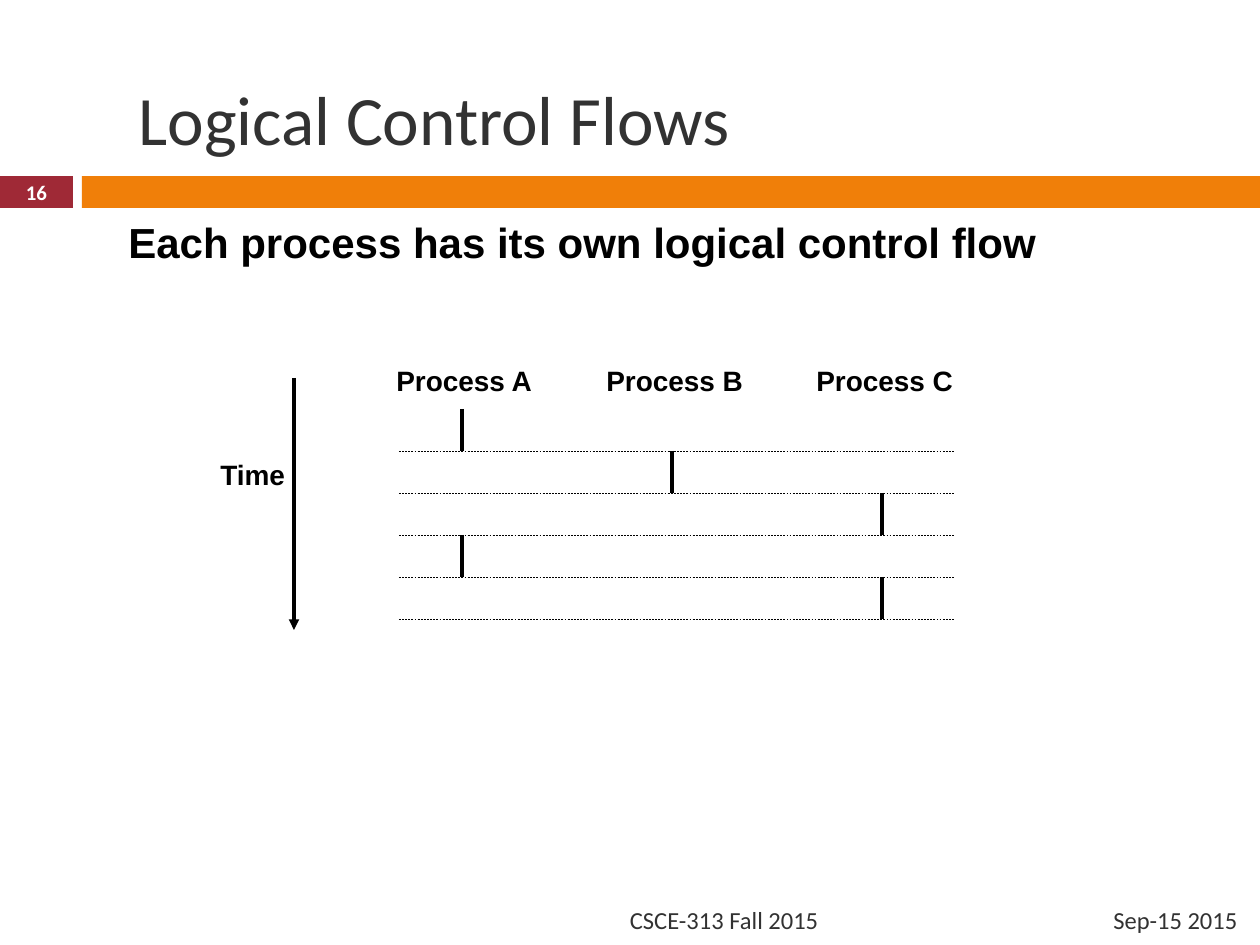
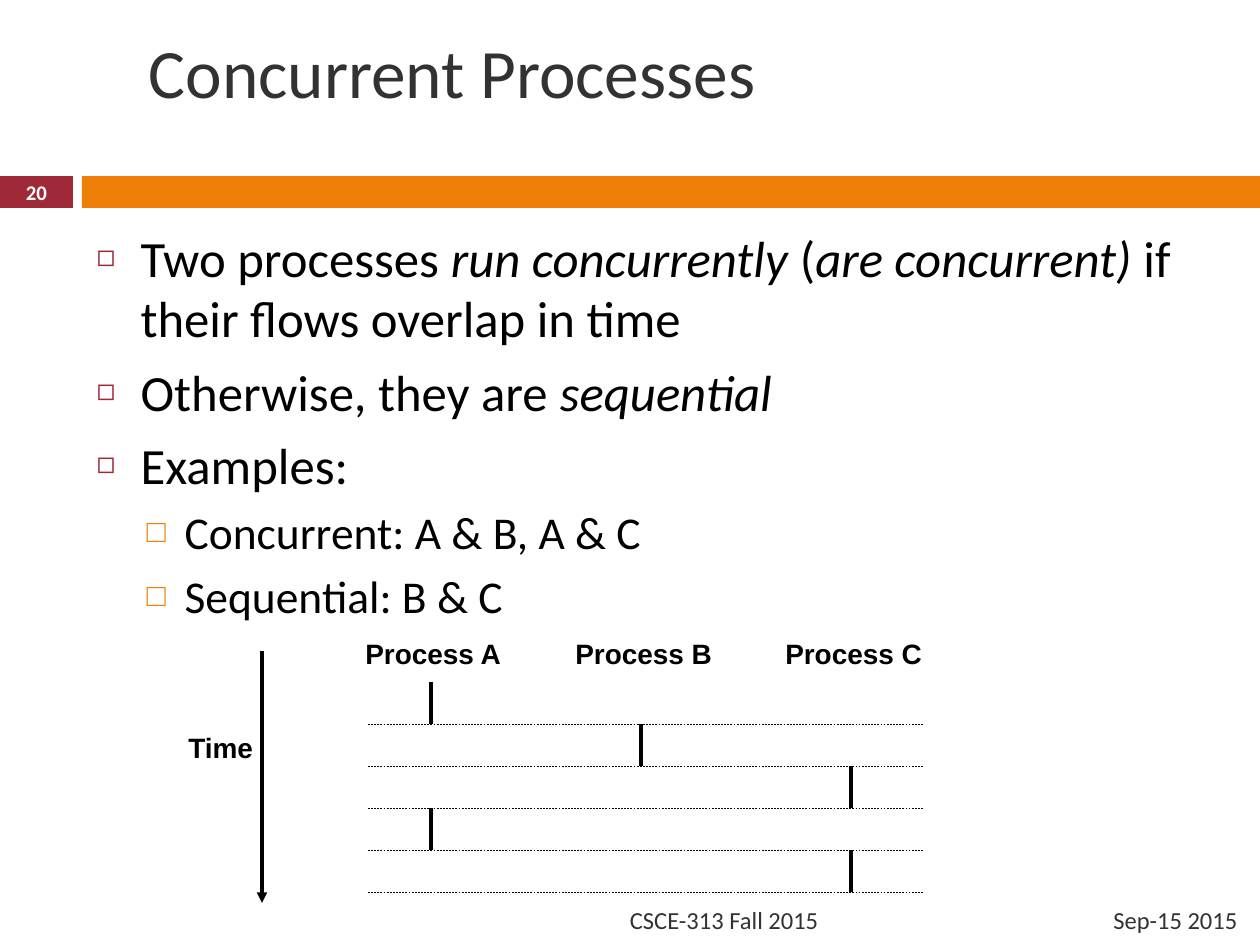
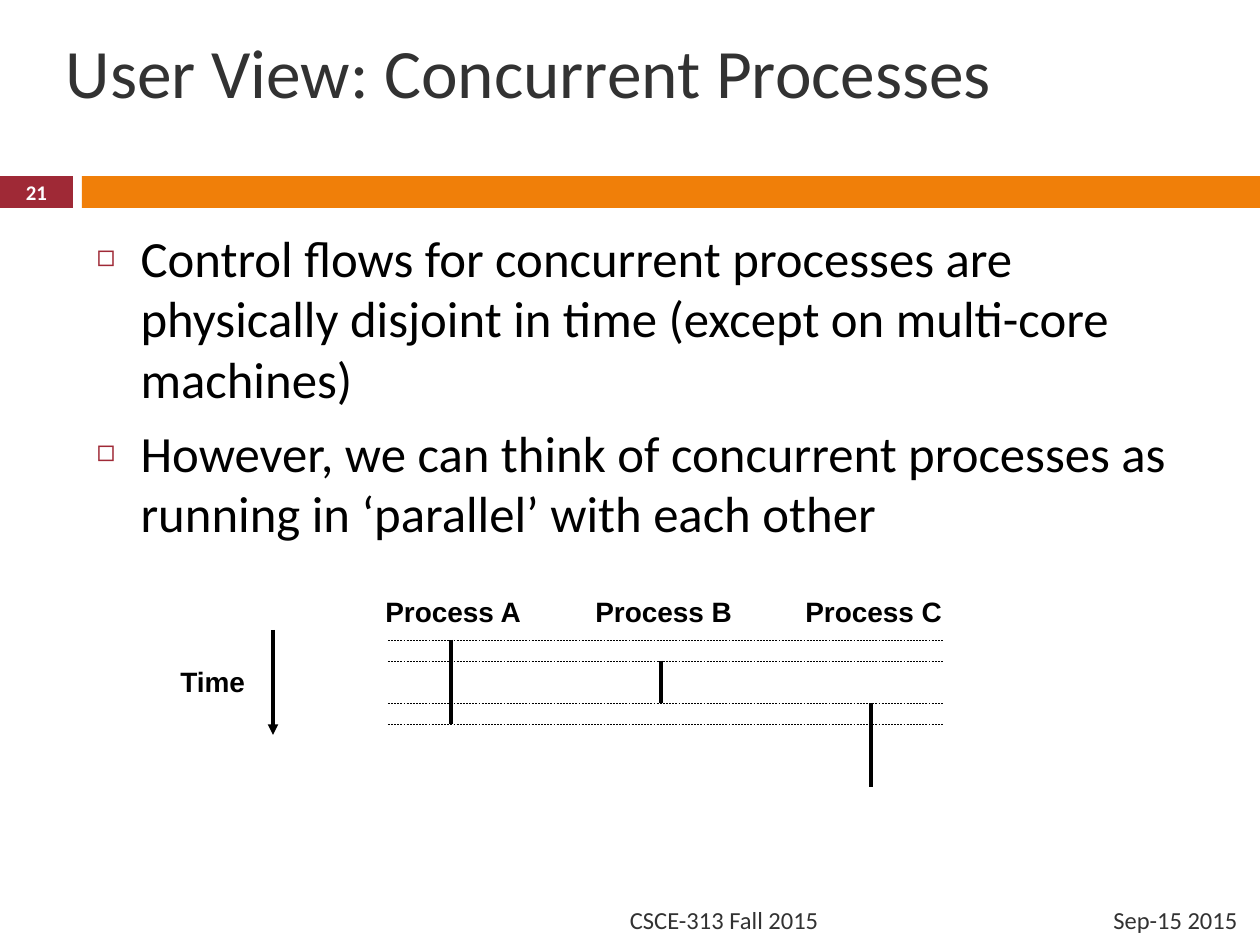
from lxml import etree
from pptx import Presentation
from pptx.dml.color import RGBColor
from pptx.enum.dml import MSO_LINE
from pptx.enum.shapes import MSO_CONNECTOR, MSO_SHAPE
from pptx.enum.text import MSO_ANCHOR, MSO_AUTO_SIZE, PP_ALIGN
from pptx.oxml.ns import qn
from pptx.util import Pt

PX = 7257  # EMU in one px, 126 px to the inch

RED = RGBColor(0x9F, 0x29, 0x36)
ORANGE = RGBColor(0xF0, 0x7F, 0x09)
GREY = RGBColor(0x32, 0x32, 0x32)
BLACK = RGBColor(0, 0, 0)
WHITE = RGBColor(0xFF, 0xFF, 0xFF)

TITLE_AND_CONTENT, TITLE_ONLY = 1, 5
BANDS = [(0, 73, RED), (82, 1178, ORANGE)]
PROCESSES = ["Process A", "Process B", "Process C"]
COLUMN_GAP = 210
TIME_SLICE = 42

# Per outline level: left margin, hanging indent, size, space before, bullet, its size and colour
LEVELS = [
    (44, 38 + 6, 29, 7, "◻", 60, RED),
    (88, 38, 26, 5.5, "□", 70, ORANGE),
]

# Slices are (process, top) pairs; each lasts one TIME_SLICE.
SLIDES = [
    {
        "number": "16", "title": "Logical Control Flows", "title_box": (126, 78, 829, 79),
        "caption": "Each process has its own logical control flow",
        "bullets": [],
        "grouped": False, "first_column": 462, "label_top": 357,
        "arrow": (294, 378, 630), "time": (208, 451),
        "slices": [(0, 409), (1, 451), (2, 493), (0, 535), (2, 577)],
        "boundaries": range(451, 620, TIME_SLICE),
    },
    {
        "number": "20", "title": "Concurrent Processes", "title_box": (136, 31, 837, 79),
        "caption": None,
        "bullets": [
            (0, [("Two processes ", False), ("run concurrently", True), (" (", False),
                 ("are concurrent)", True), (" if their flows overlap in time", False)]),
            (0, [("Otherwise, they are ", False), ("sequential", True)]),
            (0, [("Examples:", False)]),
            (1, [("Concurrent: A & B, A & C", False)]),
            (1, [("Sequential: B & C", False)]),
        ],
        "grouped": True, "first_column": 431, "label_top": 630,
        "arrow": (262, 651, 903), "time": (176, 724),
        "slices": [(0, 682), (1, 724), (2, 766), (0, 808), (2, 850)],
        "boundaries": range(724, 893, TIME_SLICE),
    },
    {
        "number": "21", "title": "User View: Concurrent Processes", "title_box": (53, 31, 1166, 79),
        "caption": None,
        "bullets": [
            (0, [("Control flows for concurrent processes are physically disjoint in time "
                  "(except on multi-core machines)", False)]),
            (0, [("However, we can think of concurrent processes as running in "
                  "‘parallel’ with each other", False)]),
        ],
        "grouped": False, "first_column": 451, "label_top": 588,
        "arrow": (273, 630, 735), "time": (168, 658),
        "slices": [(0, 640), (0, 682), (1, 661), (2, 703), (2, 745)],
        "boundaries": [640, 661, 703, 724],
    },
]


def add_text(shapes, text, box, size, color=BLACK, font="Arial", bold=True, align=None):
    """Add a one-line label; an aligned one wraps and is centred vertically in its box."""
    shape = shapes.add_textbox(*(length * PX for length in box))
    frame = shape.text_frame
    frame.word_wrap = align is not None
    frame.auto_size = MSO_AUTO_SIZE.NONE if align else MSO_AUTO_SIZE.SHAPE_TO_FIT_TEXT
    frame.vertical_anchor = MSO_ANCHOR.MIDDLE if align else MSO_ANCHOR.TOP
    paragraph = frame.paragraphs[0]
    paragraph.text = text
    paragraph.alignment = align
    paragraph.font.size = Pt(size)
    paragraph.font.name = font
    paragraph.font.bold = bold
    paragraph.font.color.rgb = color


def add_line(shapes, start, end, width=2):
    """Add a black line without a shadow and return it."""
    line = shapes.add_connector(
        MSO_CONNECTOR.STRAIGHT, *(length * PX for length in (*start, *end)))
    line.line.color.rgb = BLACK
    line.line.width = Pt(width)
    etree.SubElement(line._element.spPr, qn("a:effectLst"))
    return line


presentation = Presentation()
presentation.slide_width = 1260 * PX
presentation.slide_height = 945 * PX

for content in SLIDES:
    layout = TITLE_AND_CONTENT if content["bullets"] else TITLE_ONLY
    slide = presentation.slides.add_slide(presentation.slide_layouts[layout])

    # Bands, title and footers
    for left, width, color in BANDS:
        band = slide.shapes.add_shape(MSO_SHAPE.RECTANGLE, left * PX, 176 * PX, width * PX, 32 * PX)
        band.shadow.inherit = False
        band.fill.solid()
        band.fill.fore_color.rgb = color
        band.line.fill.background()

    title = slide.shapes.title
    title.left, title.top, title.width, title.height = (
        length * PX for length in content["title_box"])
    title.text_frame.text = content["title"]
    title.text_frame.auto_size = MSO_AUTO_SIZE.NONE
    title.text_frame.vertical_anchor = MSO_ANCHOR.MIDDLE
    paragraph = title.text_frame.paragraphs[0]
    paragraph.alignment = PP_ALIGN.LEFT
    paragraph.font.size = Pt(39.6)
    paragraph.font.name = "Calibri"
    paragraph.font.color.rgb = GREY

    add_text(slide.shapes, "Sep-15 2015", (882, 895, 368, 50), 14, GREY, "Calibri", False,
             PP_ALIGN.RIGHT)
    add_text(slide.shapes, "CSCE-313 Fall 2015", (84, 895, 747, 50), 14, GREY, "Calibri", False,
             PP_ALIGN.RIGHT)
    add_text(slide.shapes, content["number"], (0, 175, 73, 34), 11.9, WHITE, "Calibri", True,
             PP_ALIGN.CENTER)

    # Statement or bullets
    if content["caption"]:
        add_text(slide.shapes, content["caption"], (116, 210, 934, 63), 24)

    if content["bullets"]:
        body = slide.placeholders[1]
        body.left, body.top, body.width, body.height = 84 * PX, 220 * PX, 1124 * PX, 651 * PX
        body.text_frame.auto_size = MSO_AUTO_SIZE.NONE
    for index, (level, runs) in enumerate(content["bullets"]):
        margin, hanging, size, space, bullet, bullet_size, bullet_color = LEVELS[level]
        frame = body.text_frame
        paragraph = frame.add_paragraph() if index else frame.paragraphs[0]
        paragraph.level = level
        paragraph.space_before = Pt(space)
        paragraph.font.size = Pt(size)
        paragraph.font.name = "Calibri"
        paragraph.font.color.rgb = BLACK
        for text, italic in runs:
            run = paragraph.add_run()
            run.text = text
            run.font.italic = italic
        properties = paragraph._p.get_or_add_pPr()
        properties.set("marL", str(margin * PX))
        properties.set("indent", str(-hanging * PX))
        bullet_format = [
            etree.Element(qn("a:buClr")),
            etree.Element(qn("a:buSzPct"), val=str(bullet_size * 1000)),
            etree.Element(qn("a:buChar"), char=bullet),
        ]
        etree.SubElement(bullet_format[0], qn("a:srgbClr"), val=str(bullet_color))
        defaults = properties.find(qn("a:defRPr"))
        for element in bullet_format:
            defaults.addprevious(element)

    # Timeline
    shapes = slide.shapes.add_group_shape().shapes if content["grouped"] else slide.shapes
    arrow_x, arrow_top, arrow_bottom = content["arrow"]
    arrow = add_line(shapes, (arrow_x, arrow_top), (arrow_x, arrow_bottom))
    etree.SubElement(arrow.line._get_or_add_ln(), qn("a:tailEnd"), type="triangle")
    add_text(shapes, "Time", (*content["time"], 91, 47), 16)

    first_column = content["first_column"]
    for index, process in enumerate(PROCESSES):
        label_left = first_column + index * COLUMN_GAP - 78
        add_text(shapes, process, (label_left, content["label_top"], 162, 47), 16)
    for process, top in content["slices"]:
        x = first_column + process * COLUMN_GAP
        add_line(shapes, (x, top), (x, top + TIME_SLICE))
    for y in content["boundaries"]:
        boundary = add_line(shapes, (first_column - 63, y), (first_column + 493, y), 0.25)
        boundary.line.dash_style = MSO_LINE.DASH

presentation.save("out.pptx")
